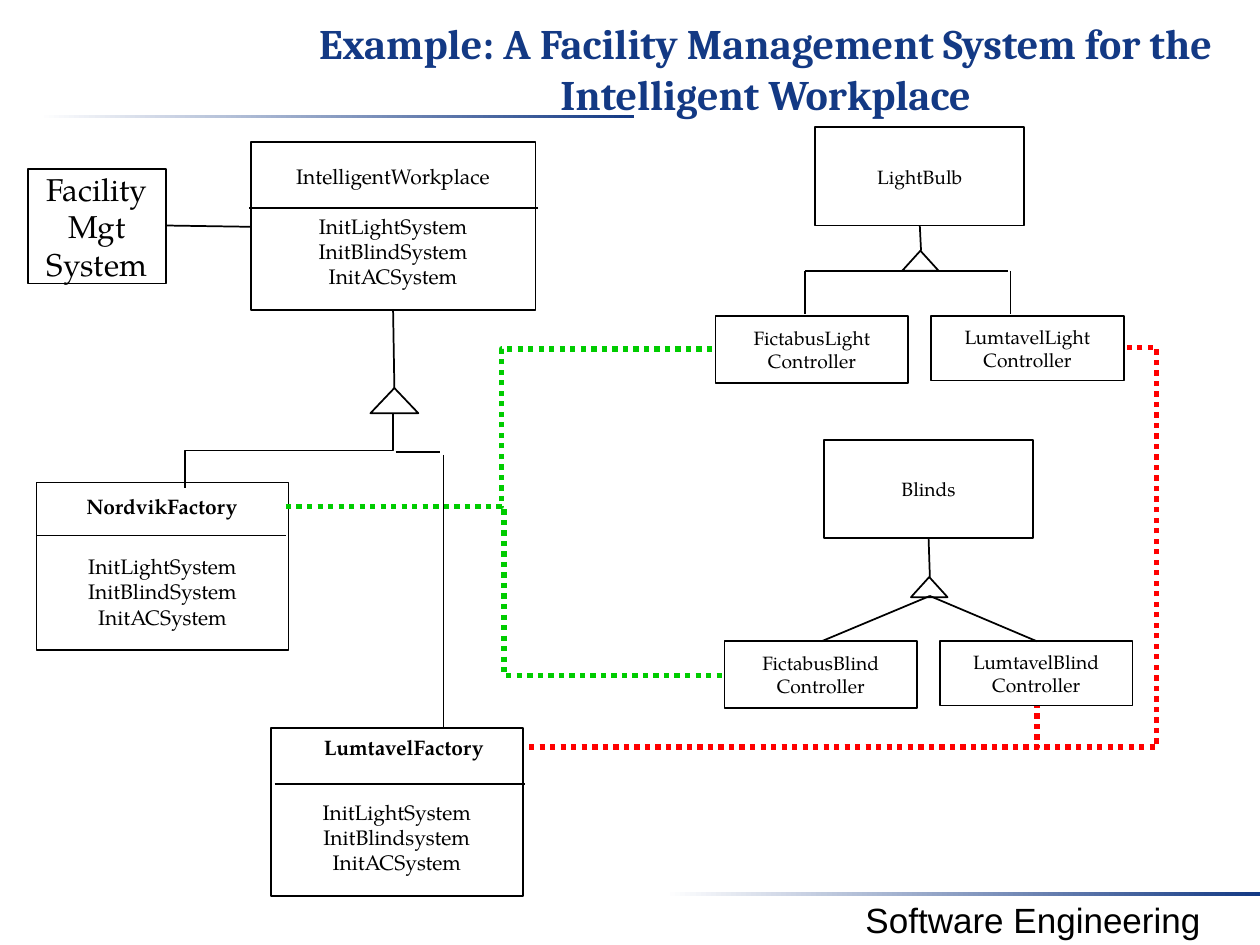
"""Build the class diagram slide of a facility management system."""
from lxml import etree
from pptx import Presentation
from pptx import util as u
from pptx.dml.color import RGBColor
from pptx.enum import dml, shapes, text
from pptx.oxml.ns import qn

COLORS = {"navy": "133984", "white": "FFFFFF", "black": "000000",
          "green": "00CC00", "red": "FF0000"}
RGB = {name: RGBColor.from_string(value) for name, value in COLORS.items()}
SERIF = "TeX Gyre Pagella"
METHODS = ["InitLightSystem", "InitBlindSystem", "InitACSystem"]


def write(shape, lines, size, font=SERIF, color="black", bold=False):
    """Fill a shape with centred lines of text."""
    frame = shape.text_frame
    for index, line in enumerate(lines):
        paragraph = frame.paragraphs[0] if index == 0 else frame.add_paragraph()
        paragraph.alignment = text.PP_ALIGN.CENTER
        run = paragraph.add_run()
        run.text = line
        run.font.name = font
        run.font.size = u.Pt(size)
        run.font.bold = bold
        run.font.color.rgb = RGB[color]
    return frame


def connect(ends, color="black", width=1, kind=shapes.MSO_CONNECTOR.STRAIGHT):
    """Draw a connector without shadow between two points."""
    connector = slide.shapes.add_connector(kind, *[u.Inches(value) for value in ends])
    connector.line.color.rgb = RGB[color]
    connector.line.width = u.Pt(width)
    etree.SubElement(connector._element.spPr, qn("a:effectLst"))
    return connector


presentation = Presentation()
presentation.slide_width = u.Inches(10)
presentation.slide_height = u.Inches(7.5)
slide = presentation.slides.add_slide(presentation.slide_layouts[5])

for left, top in [(0.31, 0.91), (5.28, 7.08)]:
    bar = slide.shapes.add_shape(shapes.MSO_SHAPE.RECTANGLE, u.Inches(left),
                                 u.Inches(top), u.Inches(4.72), u.Inches(0.03))
    bar.shadow.inherit = False
    bar.line.fill.background()
    bar.fill.gradient()
    bar.fill.gradient_angle = 0
    for stop, color in zip(bar.fill.gradient_stops, ["white", "navy"]):
        stop.color.rgb = RGB[color]

title = slide.shapes.title
title.left, title.top = u.Inches(2.15), u.Inches(0.08)
title.width, title.height = u.Inches(7.85), u.Inches(0.75)
frame = write(title, ["Example: A Facility Management System for the Intelligent Workplace"],
              24, "Cambria", "navy", True)
frame.word_wrap = True
frame.auto_size = text.MSO_AUTO_SIZE.NONE
frame.vertical_anchor = text.MSO_ANCHOR.TOP
frame.margin_top = u.Inches(0.06)
slide.shapes._spTree.append(title._element)

boxes = [
    (1.99, 1.13, 2.26, 1.33, 12, ["IntelligentWorkplace"] + METHODS),
    (0.29, 3.83, 2, 1.33, 12, METHODS),
    (2.15, 5.78, 2, 1.33, 12, ["InitLightSystem", "InitBlindsystem", "InitACSystem"]),
    (0.22, 1.34, 1.1, 0.91, 18, ["Facility", "Mgt", "System"]),
    (6.47, 1.01, 1.66, 0.78, 11, ["LightBulb"]),
    (5.68, 2.51, 1.53, 0.53, 11, ["FictabusLight", "Controller"]),
    (7.39, 2.51, 1.53, 0.51, 11, ["LumtavelLight", "Controller"]),
    (6.54, 3.49, 1.66, 0.78, 11, ["Blinds"]),
    (5.75, 5.09, 1.53, 0.53, 11, ["FictabusBlind", "Controller"]),
    (7.46, 5.09, 1.53, 0.51, 11, ["LumtavelBlind", "Controller"]),
]
triangles = [(2.94, 3.08, 0.38, 0.2), (7.16, 1.99, 0.29, 0.16), (7.23, 4.58, 0.29, 0.16)]
outlines = [(shapes.MSO_SHAPE.RECTANGLE, *box) for box in boxes]
outlines += [(shapes.MSO_SHAPE.ISOSCELES_TRIANGLE, *triangle, 12, []) for triangle in triangles]
for kind, left, top, width, height, size, lines in outlines:
    shape = slide.shapes.add_shape(kind, u.Inches(left), u.Inches(top),
                                   u.Inches(width), u.Inches(height))
    shape.shadow.inherit = False
    shape.fill.solid()
    shape.fill.fore_color.rgb = RGB["white"]
    shape.line.color.rgb = RGB["black"]
    shape.line.width = u.Pt(1)
    frame = write(shape, lines, size)
    frame.word_wrap = False
    frame.vertical_anchor = text.MSO_ANCHOR.MIDDLE
    if len(lines) == 4:
        frame.paragraphs[1].space_before = u.Pt(14.4)
    elif size == 12 and lines:
        frame.margin_top = u.Inches(0.45)

labels = [
    (0.3, 3.87, 1.97, 0.3, "NordvikFactory", 12, SERIF, True),
    (2.22, 5.78, 1.97, 0.3, "LumtavelFactory", 12, SERIF, True),
    (6.4, 7.08, 3.6, 0.44, "Software Engineering", 20, "Arial", False),
]
for left, top, width, height, label, size, font, bold in labels:
    textbox = slide.shapes.add_textbox(u.Inches(left), u.Inches(top),
                                       u.Inches(width), u.Inches(height))
    write(textbox, [label], size, font, bold=bold).word_wrap = True

lines = [
    (1.98, 1.65, 4.27, 1.65), (0.29, 4.25, 2.27, 4.25), (2.18, 6.22, 4.17, 6.22),
    (1.32, 1.79, 1.99, 1.8), (3.12, 2.46, 3.13, 3.08),
    (3.14, 3.59, 3.49, 3.59), (3.52, 3.61, 3.52, 5.78),
    (7.3, 1.79, 7.31, 1.99), (6.39, 2.15, 8, 2.15),
    (6.39, 2.15, 6.39, 2.49), (8.02, 2.15, 8.02, 2.49),
    (7.37, 4.27, 7.38, 4.58), (7.38, 4.73, 6.52, 5.09), (7.38, 4.73, 8.23, 5.09),
]
for ends in lines:
    connect(ends)

inheritance = connect((2, 2.75, 2.59, 4.4), kind=shapes.MSO_CONNECTOR.ELBOW)
inheritance._element.spPr.find(qn("a:xfrm")).set("rot", str(270 * 60000))

creations = [
    ((2.27, 4.02, 5.69, 2.77), "green", "bentConnector3", 50000),
    ((2.27, 4.02, 5.73, 5.36), "green", "bentConnector3", 50000),
    ((4.2, 5.93, 8.23, 5.6), "red", "bentConnector2", None),
    ((4.2, 5.93, 8.93, 2.76), "red", "bentConnector3", 105300),
]
for ends, color, preset, bend in creations:
    creation = connect(ends, color, 3, shapes.MSO_CONNECTOR.ELBOW)
    creation.line.dash_style = dml.MSO_LINE.ROUND_DOT
    geometry = creation._element.spPr.find(qn("a:prstGeom"))
    geometry.set("prst", preset)
    if bend:
        guide = etree.SubElement(geometry.find(qn("a:avLst")), qn("a:gd"))
        guide.set("name", "adj1")
        guide.set("fmla", f"val {bend}")

presentation.save("out.pptx")
